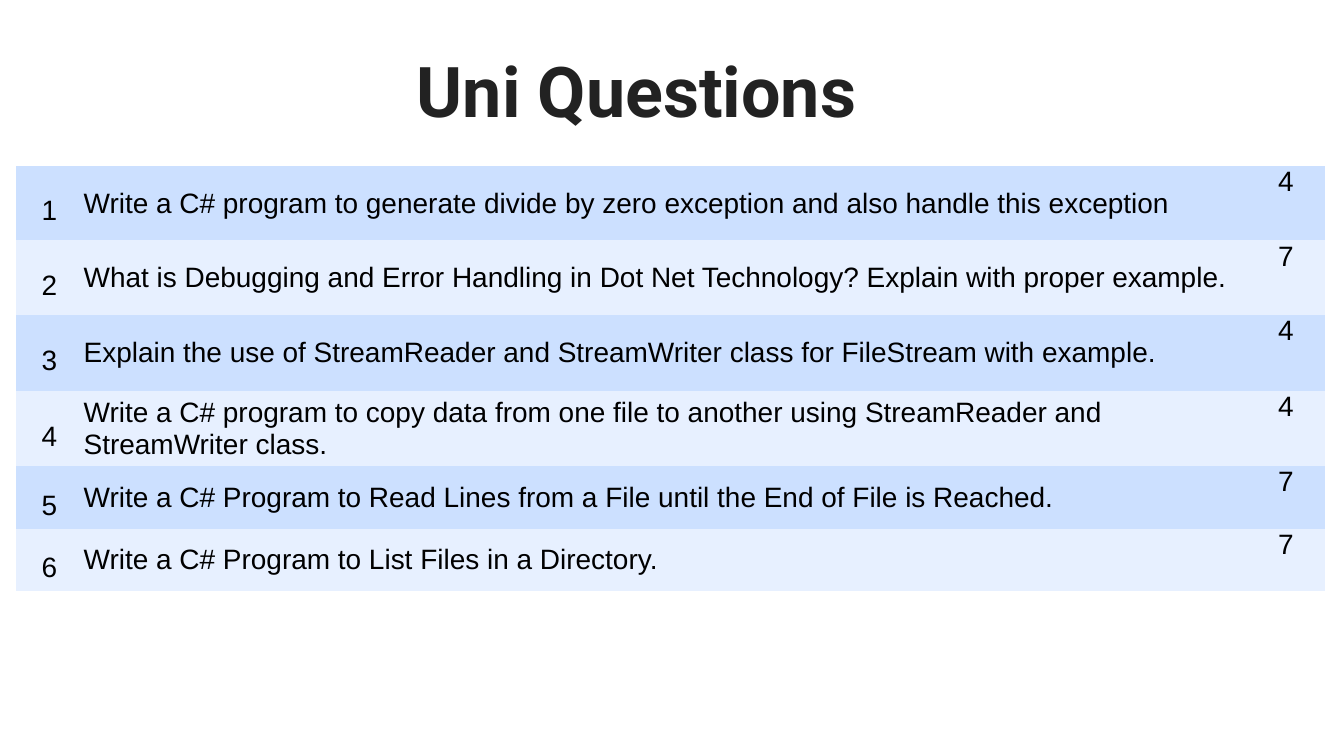
"""Build a slide with a table of exam questions and their marks."""
from dataclasses import dataclass

from pptx import Presentation
from pptx.dml.color import RGBColor
from pptx.enum.text import MSO_ANCHOR, MSO_AUTO_SIZE, PP_ALIGN
from pptx.slide import Slide
from pptx.table import _Cell
from pptx.text.text import TextFrame
from pptx.util import Inches, Pt

LEFT, CENTER = PP_ALIGN.LEFT, PP_ALIGN.CENTER
TOP, MIDDLE = MSO_ANCHOR.TOP, MSO_ANCHOR.MIDDLE
GROW = MSO_AUTO_SIZE.SHAPE_TO_FIT_TEXT

BLACK = RGBColor(0x00, 0x00, 0x00)
CHARCOAL = RGBColor(0x22, 0x22, 0x22)
BAND_COLORS = (RGBColor(0xCC, 0xE0, 0xFF), RGBColor(0xE7, 0xF0, 0xFF))
PLAIN_TABLE_STYLE = "{2D5ABB26-0587-4C30-8999-92F81FD0307C}"
COLUMN_WIDTHS = (1.34, 23.09, 1.56)


@dataclass(frozen=True)
class Question:
    """One exam question with its marks and row height in inches."""

    text: str
    marks: int
    height: float


QUESTIONS = (
    Question("Write a C# program to generate divide by zero exception "
             "and also handle this exception", 4, 1.48),
    Question("What is Debugging and Error Handling in Dot Net Technology? "
             "Explain with proper example.", 7, 1.48),
    Question("Explain the use of StreamReader and StreamWriter class "
             "for FileStream with example.", 4, 1.51),
    Question("Write a C# program to copy data from one file to another "
             "using StreamReader and StreamWriter class.", 4, 1.49),
    Question("Write a C# Program to Read Lines from a File "
             "until the End of File is Reached.", 7, 1.24),
    Question("Write a C# Program to List Files in a Directory.", 7, 1.24),
)


def write_text(frame: TextFrame, text: str, *, font: str, size: float,
               color: RGBColor, bold: bool = False,
               alignment: PP_ALIGN = LEFT,
               line_spacing: float | None = None) -> None:
    """Write one formatted paragraph into a text frame."""
    paragraph = frame.paragraphs[0]
    paragraph.alignment = alignment
    if line_spacing is not None:
        paragraph.line_spacing = Pt(line_spacing)
    run = paragraph.add_run()
    run.text = text
    run.font.name = font
    run.font.size = Pt(size)
    run.font.bold = bold
    run.font.color.rgb = color


def fill_cell(cell: _Cell, text: str, *, fill: RGBColor,
              anchor: MSO_ANCHOR = MIDDLE, alignment: PP_ALIGN = LEFT,
              line_spacing: float | None = None) -> None:
    """Fill one table cell with colour and text."""
    cell.fill.solid()
    cell.fill.fore_color.rgb = fill
    cell.vertical_anchor = anchor
    cell.margin_left = cell.margin_right = cell.margin_top = Inches(0.01)
    cell.margin_bottom = 0
    write_text(cell.text_frame, text, font="Arial", size=40, color=BLACK,
               alignment=alignment, line_spacing=line_spacing)


def add_title(slide: Slide, text: str) -> None:
    """Place and format the slide title."""
    title = slide.shapes.title
    title.left, title.top = Inches(8.19), Inches(0.75)
    title.width, title.height = Inches(10.28), Inches(1.82)
    frame = title.text_frame
    frame.word_wrap = False
    frame.auto_size = GROW
    frame.vertical_anchor = MIDDLE
    frame.margin_left = frame.margin_right = Inches(0.08)
    frame.margin_top = frame.margin_bottom = Inches(0.08)
    write_text(frame, text, font="Roboto", size=100, color=CHARCOAL,
               bold=True, line_spacing=136)


def add_question_table(slide: Slide) -> None:
    """Add the banded table of numbered questions and marks."""
    table_height = sum(question.height for question in QUESTIONS)
    table = slide.shapes.add_table(
        len(QUESTIONS), len(COLUMN_WIDTHS), Inches(0.31), Inches(3.29),
        Inches(sum(COLUMN_WIDTHS)), Inches(table_height)).table
    table.first_row = table.horz_banding = False
    table._tbl.tblPr[0].text = PLAIN_TABLE_STYLE
    for column, width in zip(table.columns, COLUMN_WIDTHS):
        column.width = Inches(width)
    for index, question in enumerate(QUESTIONS):
        row = table.rows[index]
        row.height = Inches(question.height)
        number, wording, marks = row.cells
        band = BAND_COLORS[index % 2]
        fill_cell(number, str(index + 1), fill=band, alignment=CENTER,
                  line_spacing=67)
        fill_cell(wording, question.text, fill=band)
        fill_cell(marks, str(question.marks), fill=band, anchor=TOP,
                  alignment=CENTER)


def main() -> None:
    """Create and save the presentation."""
    presentation = Presentation()
    presentation.slide_width = Inches(26.67)
    presentation.slide_height = Inches(15)
    slide = presentation.slides.add_slide(presentation.slide_layouts[5])
    add_title(slide, "Uni Questions")
    add_question_table(slide)
    presentation.save("out.pptx")


main()
